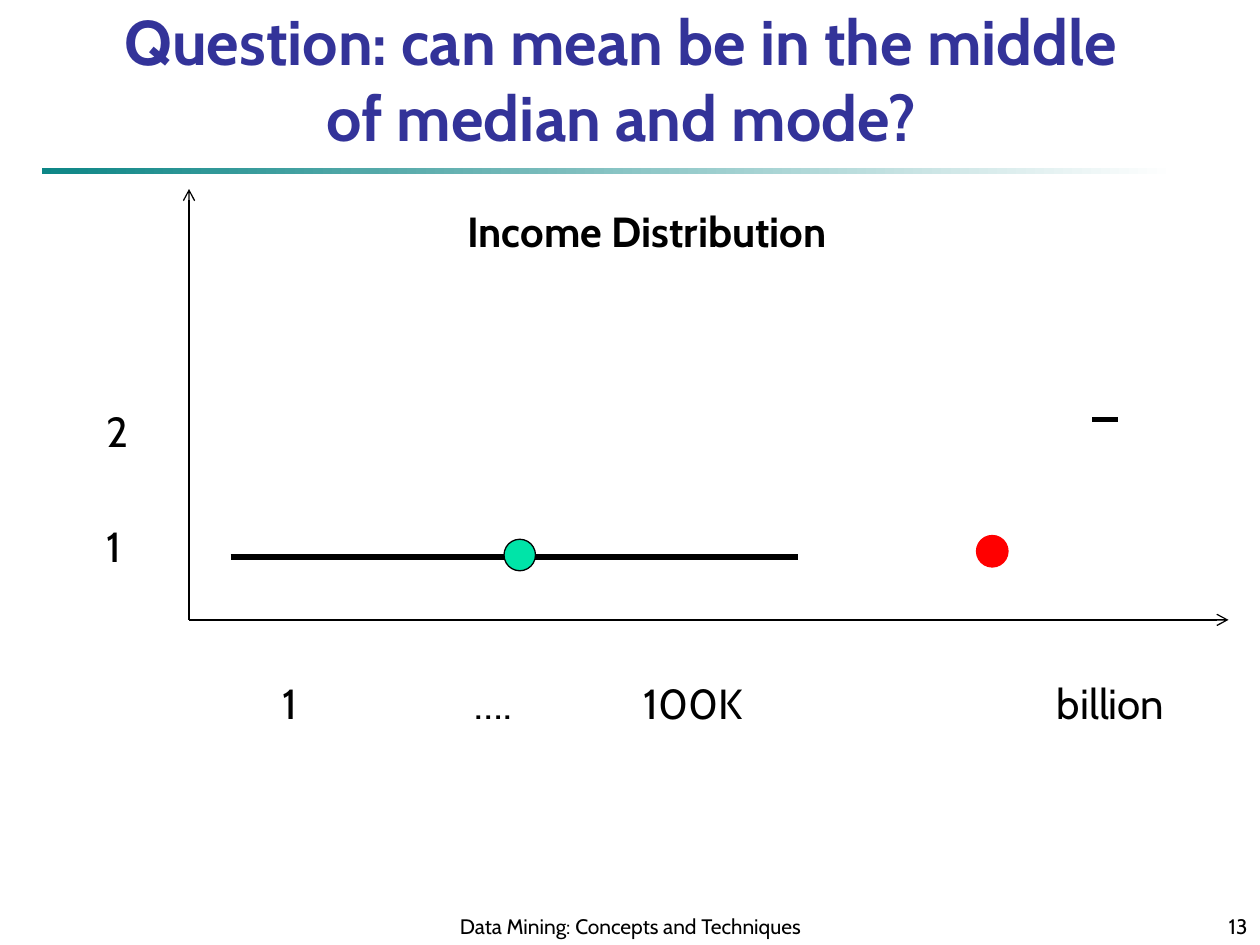
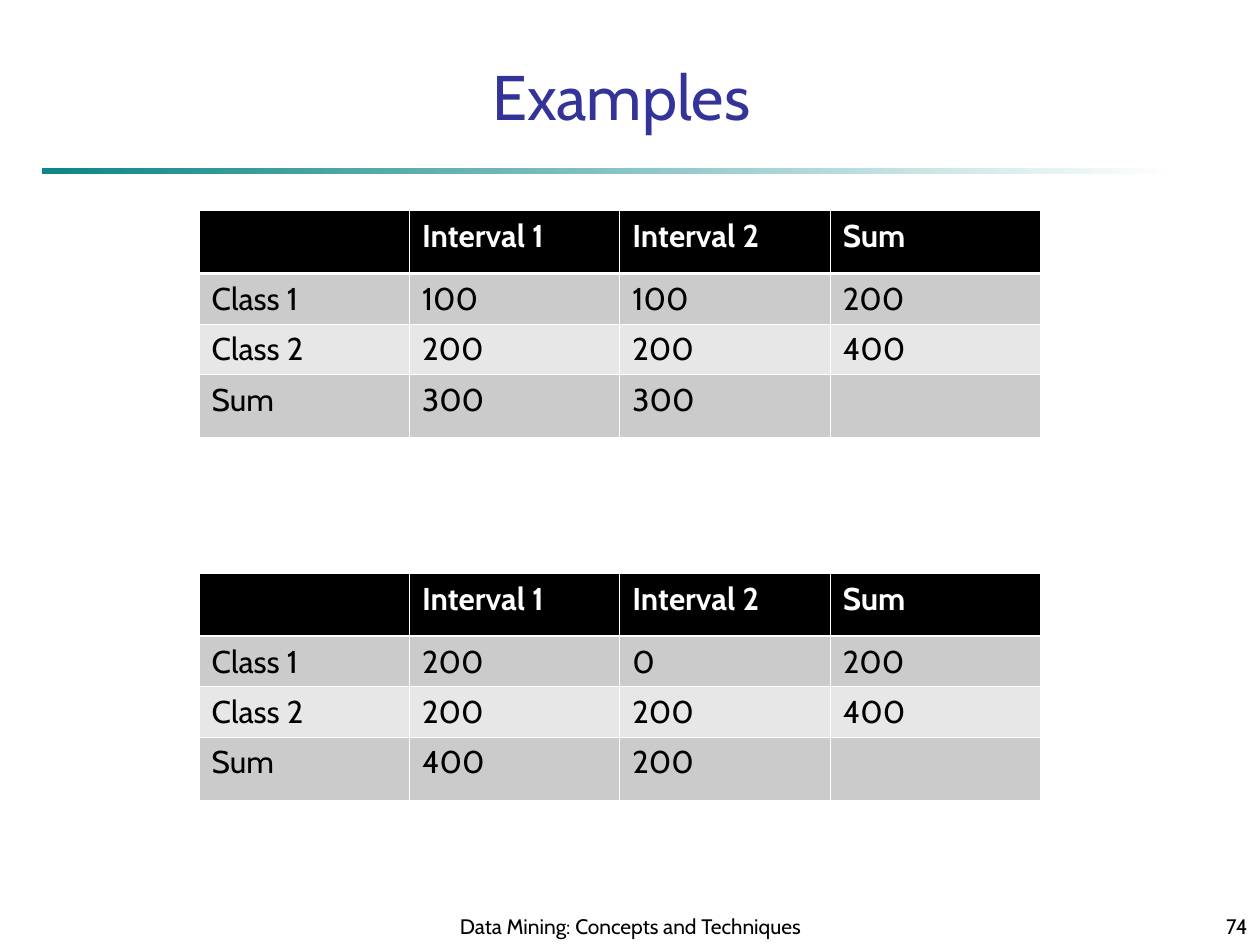
from lxml.etree import SubElement
from pptx import Presentation
from pptx.dml.color import RGBColor
from pptx.enum.shapes import MSO_CONNECTOR, MSO_SHAPE
from pptx.enum.text import MSO_ANCHOR, PP_ALIGN
from pptx.oxml.ns import qn
from pptx.util import Inches, Pt

FONT = "Cabin"
BLACK = RGBColor(0x00, 0x00, 0x00)
WHITE = RGBColor(0xFF, 0xFF, 0xFF)
TITLE_BLUE = RGBColor(0x33, 0x33, 0x99)
BAND_TEAL = RGBColor(0x0D, 0x86, 0x86)
MEDIAN_GREEN = RGBColor(0x00, 0xE4, 0xA8)
MEAN_RED = RGBColor(0xFF, 0x00, 0x00)
ROW_DARK = RGBColor(0xCB, 0xCB, 0xCB)
ROW_LIGHT = RGBColor(0xE7, 0xE7, 0xE7)

FOOTER = "Data Mining: Concepts and Techniques"
ORIGIN_X, ORIGIN_Y = 1.5, 4.92
DOT_SIZE = 0.25
COLUMN_WIDTH = 1.67
ROW_HEIGHTS = [0.5, 0.4, 0.4, 0.5]
HEADINGS = ["", "Interval 1", "Interval 2", "Sum"]
THIN, THICK = 0.45, 1.47


def format_runs(paragraph, size, color, bold=False):
    for run in paragraph.runs:
        run.font.name = FONT
        run.font.size = Pt(size)
        run.font.bold = bold
        run.font.color.rgb = color


def add_text(slide, text, left, top, width, height, size, color=BLACK, bold=False,
             align=PP_ALIGN.LEFT, anchor=MSO_ANCHOR.TOP, wrap=True):
    box = slide.shapes.add_textbox(Inches(left), Inches(top), Inches(width), Inches(height))
    frame = box.text_frame
    frame.word_wrap = wrap
    frame.vertical_anchor = anchor
    paragraph = frame.paragraphs[0]
    paragraph.text = text
    paragraph.alignment = align
    format_runs(paragraph, size, color, bold)
    return frame


def add_label(slide, text, left, top, width=0.39, bold=False):
    add_text(slide, text, left, top, width, 0.5, 24, bold=bold, wrap=False)


def add_line(slide, start, end, weight, arrow=False):
    line = slide.shapes.add_connector(
        MSO_CONNECTOR.STRAIGHT, *(Inches(length) for length in (*start, *end)))
    line.line.color.rgb = BLACK
    line.line.width = Pt(weight)
    if arrow:
        SubElement(line.line._get_or_add_ln(), qn("a:tailEnd"), type="arrow")
    SubElement(line._element.spPr, qn("a:effectLst"))


def add_dot(slide, left, top, fill, outline):
    dot = slide.shapes.add_shape(MSO_SHAPE.OVAL, Inches(left), Inches(top),
                                 Inches(DOT_SIZE), Inches(DOT_SIZE))
    dot.shadow.inherit = False
    dot.fill.solid()
    dot.fill.fore_color.rgb = fill
    dot.line.color.rgb = outline
    dot.line.width = Pt(0.75)


def add_band(slide):
    """Add the rule under the title, fading from teal to white."""
    band = slide.shapes.add_shape(MSO_SHAPE.RECTANGLE, Inches(0.33), Inches(1.33),
                                  Inches(9), Inches(0.05))
    band.shadow.inherit = False
    band.line.fill.background()
    band.fill.gradient()
    band.fill.gradient_angle = 0
    for stop, color in zip(band.fill.gradient_stops, (BAND_TEAL, WHITE)):
        stop.color.rgb = color


def add_framed_slide(deck, title, title_top, number, bold=False):
    """Add a blank slide with the shared band, title and footer."""
    slide = deck.slides.add_slide(deck.slide_layouts[6])
    add_band(slide)
    heading = add_text(slide, title, 0.67, title_top, 8.52, 0.67, 36, TITLE_BLUE, bold,
                       PP_ALIGN.CENTER, MSO_ANCHOR.BOTTOM)
    heading.margin_top = heading.margin_bottom = Inches(0.03)
    add_text(slide, FOOTER, 3.42, 7.08, 3.17, 0.42, 12,
             align=PP_ALIGN.CENTER, anchor=MSO_ANCHOR.BOTTOM)
    add_text(slide, number, 7.92, 7.08, 2.08, 0.42, 12,
             align=PP_ALIGN.RIGHT, anchor=MSO_ANCHOR.BOTTOM)
    return slide


def add_borders(cell, top, bottom):
    """Draw white cell borders; call before filling the cell."""
    properties = cell._tc.get_or_add_tcPr()
    for side, weight in (("L", THIN), ("R", THIN), ("T", top), ("B", bottom)):
        border = SubElement(properties, qn(f"a:ln{side}"), w=str(Pt(weight)))
        fill = SubElement(border, qn("a:solidFill"))
        SubElement(fill, qn("a:srgbClr"), val=str(WHITE))


def add_interval_table(slide, top, body):
    rows = [HEADINGS, *body]
    table = slide.shapes.add_table(
        len(rows), len(HEADINGS), Inches(1.58), Inches(top),
        Inches(COLUMN_WIDTH * len(HEADINGS)), Inches(sum(ROW_HEIGHTS))).table
    for column in table.columns:
        column.width = Inches(COLUMN_WIDTH)
    for r, (values, height) in enumerate(zip(rows, ROW_HEIGHTS)):
        table.rows[r].height = Inches(height)
        is_header = r == 0
        row_fill = BLACK if is_header else ROW_DARK if r % 2 else ROW_LIGHT
        for c, value in enumerate(values):
            cell = table.cell(r, c)
            add_borders(cell, THICK if r == 1 else THIN, THICK if is_header else THIN)
            cell.fill.solid()
            cell.fill.fore_color.rgb = row_fill
            paragraph = cell.text_frame.paragraphs[0]
            paragraph.text = value
            format_runs(paragraph, 18, WHITE if is_header else BLACK, is_header)


def build_income_slide(deck):
    slide = add_framed_slide(
        deck, "Question: can mean be in the middle of median and mode?", 0.58, "13", bold=True)
    for axis_end in ((ORIGIN_X, 1.5), (9.75, ORIGIN_Y)):
        add_line(slide, (ORIGIN_X, ORIGIN_Y), axis_end, 0.75, arrow=True)
    add_line(slide, (1.83, 4.42), (6.33, 4.42), 3)
    add_line(slide, (8.67, 3.33), (8.87, 3.33), 3)
    for income, left, width in (("1", 2.14, 0.39), ("….", 3.67, 0.5),
                                ("100K", 5.01, 1.0), ("billion", 8.29, 1.15)):
        add_label(slide, income, left, 5.33, width)
    for count, top in (("1", 4.08), ("2", 3.17)):
        add_label(slide, count, 0.75, top)
    add_dot(slide, 4, 4.28, MEDIAN_GREEN, BLACK)
    add_dot(slide, 7.75, 4.25, MEAN_RED, MEAN_RED)
    add_label(slide, "Income Distribution", 3.61, 1.58, 3.05, bold=True)


def build_examples_slide(deck):
    slide = add_framed_slide(deck, "Examples", 0.42, "74")
    add_interval_table(slide, 1.67, [["Class 1", "100", "100", "200"],
                                     ["Class 2", "200", "200", "400"],
                                     ["Sum", "300", "300", ""]])
    add_interval_table(slide, 4.55, [["Class 1", "200", "0", "200"],
                                     ["Class 2", "200", "200", "400"],
                                     ["Sum", "400", "200", ""]])


def main():
    deck = Presentation()
    deck.slide_width, deck.slide_height = Inches(10), Inches(7.5)
    build_income_slide(deck)
    build_examples_slide(deck)
    deck.save("out.pptx")


if __name__ == "__main__":
    main()
